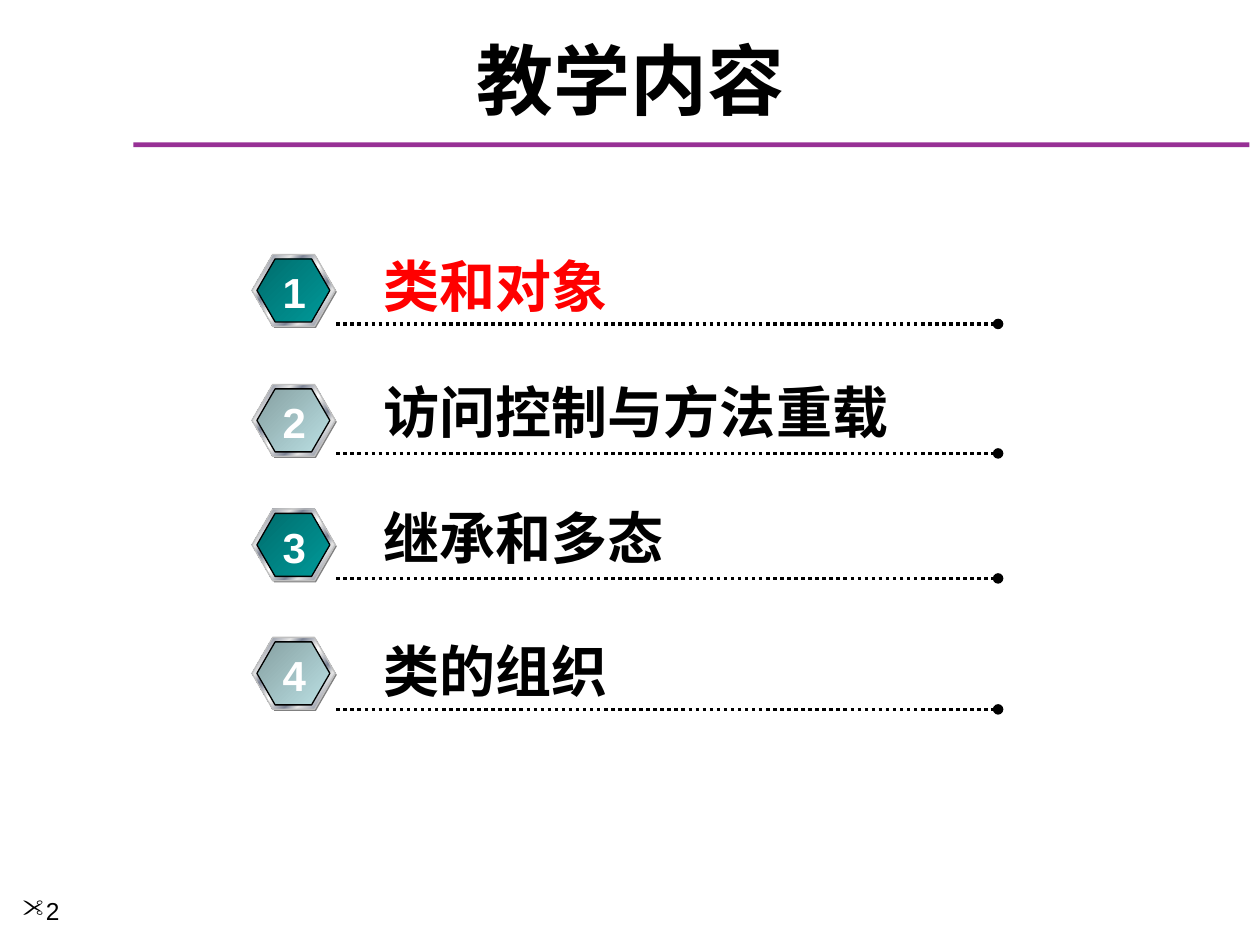
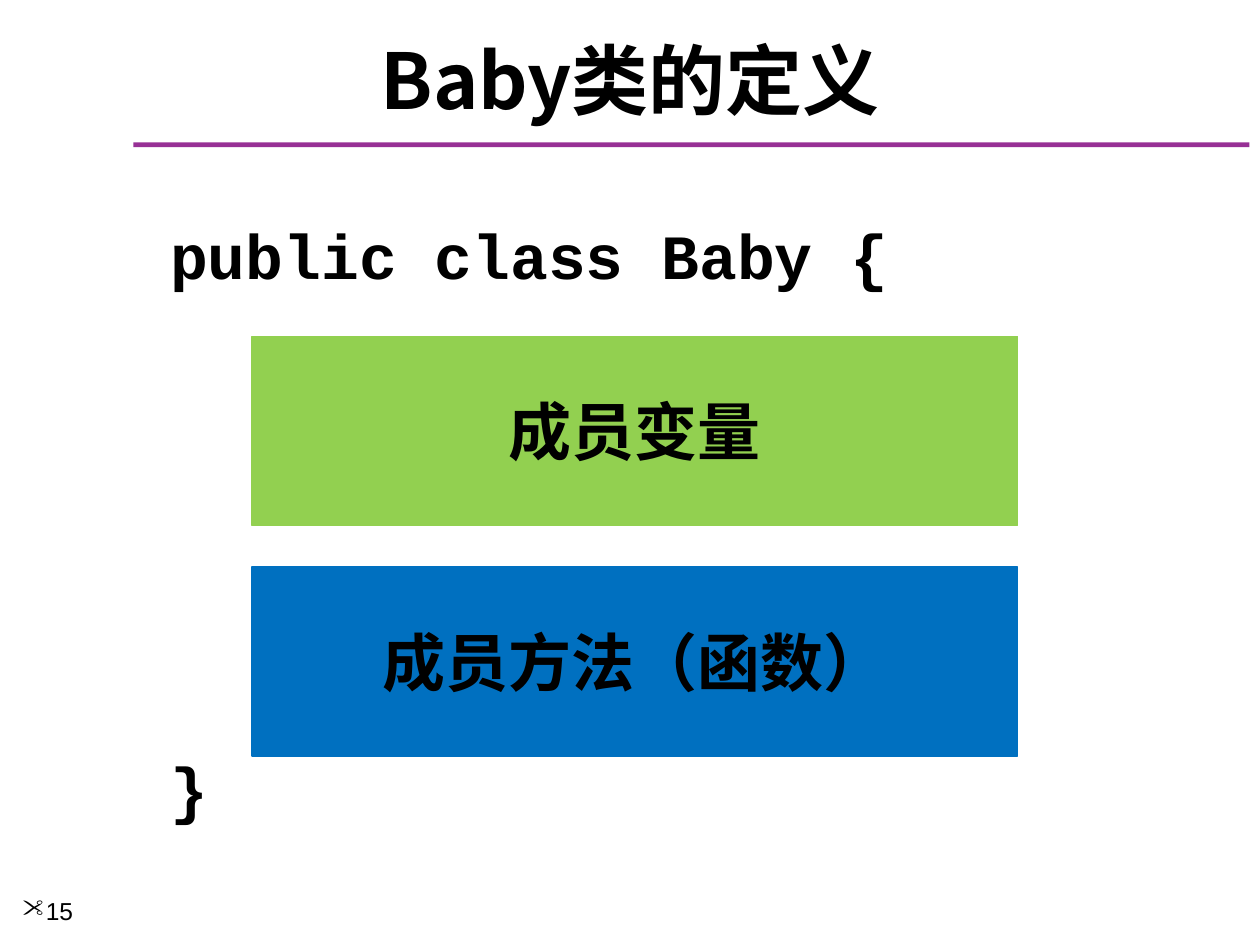
from lxml import etree
from pptx import Presentation
from pptx.dml.color import RGBColor
from pptx.enum.dml import MSO_LINE
from pptx.enum.shapes import MSO_CONNECTOR, MSO_SHAPE
from pptx.enum.text import MSO_ANCHOR, MSO_AUTO_SIZE, PP_ALIGN
from pptx.oxml.ns import qn
from pptx.util import Cm, Pt

RECTANGLE, HEXAGON = MSO_SHAPE.RECTANGLE, MSO_SHAPE.HEXAGON
STRAIGHT, DOTTED = MSO_CONNECTOR.STRAIGHT, MSO_LINE.ROUND_DOT
TOP, MIDDLE = MSO_ANCHOR.TOP, MSO_ANCHOR.MIDDLE
LEFT, CENTER = PP_ALIGN.LEFT, PP_ALIGN.CENTER
GROW = MSO_AUTO_SIZE.SHAPE_TO_FIT_TEXT

BLACK = RGBColor(0x00, 0x00, 0x00)
WHITE = RGBColor(0xFF, 0xFF, 0xFF)
RED = RGBColor(0xFF, 0x00, 0x00)
PURPLE = RGBColor(0x97, 0x30, 0x95)
GRAY = RGBColor(0x80, 0x80, 0x80)
SILVER = RGBColor(0xC0, 0xC0, 0xC0)
GREEN = RGBColor(0x92, 0xD0, 0x50)
BLUE = RGBColor(0x00, 0x70, 0xC0)
METAL_LIGHT = RGBColor(0xE6, 0xE6, 0xE6)
METAL_DARK = RGBColor(0x7D, 0x84, 0x96)

SANS, CHINESE, CODE = "Arial", "Noto Sans CJK SC", "Courier New"

TEAL_STOPS = [(0, RGBColor(0x00, 0x6D, 0x6D)), (100, RGBColor(0x00, 0x99, 0x99))]
PALE_STOPS = [(0, RGBColor(0x86, 0xA0, 0xA2)), (100, RGBColor(0xBB, 0xE0, 0xE3))]
METAL_STOPS = [
    (0, METAL_LIGHT), (8, METAL_DARK), (26, METAL_LIGHT), (34, METAL_DARK),
    (46, METAL_LIGHT), (50, WHITE), (54, METAL_LIGHT), (66, METAL_DARK),
    (74, METAL_LIGHT), (92, METAL_DARK), (100, METAL_LIGHT),
]

TOPICS = [
    {"label": "类和对象", "color": RED, "badge": 5.13, "text": 4.93, "rule": 6.53, "width": 5.08},
    {"label": "访问控制与方法重载", "color": BLACK, "badge": 7.75, "text": 7.47, "rule": 9.14, "width": 10.82},
    {"label": "继承和多态", "color": BLACK, "badge": 10.26, "text": 10.01, "rule": 11.66, "width": 6.22},
    {"label": "类的组织", "color": BLACK, "badge": 12.85, "text": 12.7, "rule": 14.3, "width": 5.08},
]
CLASS_LINES = [("public class Baby {", 7.2), ("}", 261.6)]
CLASS_PARTS = [("成员变量", GREEN), ("成员方法（函数）", BLUE)]


def add_run(paragraph, text, size, color, font=SANS, bold=True):
    run = paragraph.add_run()
    run.text = text
    run.font.name, run.font.size, run.font.bold = font, Pt(size), bold
    run.font.color.rgb = color
    east_asian = etree.SubElement(run.font._element, qn("a:ea"))
    east_asian.set("typeface", CHINESE)


def add_text(shapes, box, text, size, color, font=SANS, bold=True,
             align=LEFT, anchor=TOP, wrap=True, before=0):
    shape = shapes.add_textbox(*map(Cm, box))
    frame = shape.text_frame
    frame.word_wrap, frame.vertical_anchor = wrap, anchor
    if not wrap:
        frame.auto_size = GROW
    paragraph = frame.paragraphs[0]
    paragraph.alignment, paragraph.space_before = align, Pt(before)
    add_run(paragraph, text, size, color, font, bold)
    return shape


def add_block(shapes, kind, box, fill, line=None):
    shape = shapes.add_shape(kind, *map(Cm, box))
    shape.shadow.inherit = False
    if isinstance(fill, list):
        set_gradient(shape, fill)
    else:
        shape.fill.solid()
        shape.fill.fore_color.rgb = fill
    if line is None:
        shape.line.fill.background()
    else:
        shape.line.color.rgb, shape.line.width = line, Pt(0.75)
    if kind == HEXAGON:
        shape.adjustments[0], shape.adjustments[1] = 0.289, 1.155
    return shape


def set_gradient(shape, stops):
    shape.fill.gradient()
    shape.fill.gradient_angle = 315
    stop_list = shape._element.spPr.find(qn("a:gradFill")).find(qn("a:gsLst"))
    for stop in list(stop_list):
        stop_list.remove(stop)
    for position, color in stops:
        stop = etree.SubElement(stop_list, qn("a:gs"), pos=str(position * 1000))
        etree.SubElement(stop, qn("a:srgbClr"), val=str(color))


def add_dotted_rule(shapes, left, right, y):
    rule = shapes.add_connector(STRAIGHT, Cm(left), Cm(y), Cm(right), Cm(y))
    rule.line.color.rgb, rule.line.width = BLACK, Pt(2)
    rule.line.dash_style = DOTTED
    etree.SubElement(rule.line._get_or_add_ln(), qn("a:tailEnd"), type="oval")
    etree.SubElement(rule._element.spPr, qn("a:effectLst"))


def add_badge(shapes, number, top):
    group = shapes.add_group_shape().shapes
    face = TEAL_STOPS if number % 2 else PALE_STOPS
    add_block(group, HEXAGON, (5.11, top + 0.03, 1.68, 1.45), GRAY)
    add_block(group, HEXAGON, (5.08, top, 1.68, 1.45), METAL_STOPS, SILVER)
    add_block(group, HEXAGON, (5.18, top + 0.09, 1.47, 1.27), face, BLACK)
    add_text(group, (5.44, top + 0.12, 0.99, 1.27), str(number), 24, WHITE,
             align=CENTER, anchor=MIDDLE, wrap=False, before=4.8)


def add_base_slide(presentation, title, page):
    slide = presentation.slides.add_slide(presentation.slide_layouts[6])
    add_block(slide.shapes, RECTANGLE, (2.69, 2.87, 22.5, 0.1), PURPLE)
    add_text(slide.shapes, (0.43, 0.64, 24.56, 1.9), title, 44, BLACK,
             font=CHINESE, align=CENTER, anchor=MIDDLE)
    footer = add_text(slide.shapes, (0.2, 17.93, 2.74, 1.12), str(page), 14, BLACK, bold=False)
    properties = footer.text_frame.paragraphs[0]._p.get_or_add_pPr()
    etree.SubElement(properties, qn("a:buFont"), typeface="Wingdings", charset="2")
    etree.SubElement(properties, qn("a:buChar"), char='"')
    return slide


def build_contents(presentation):
    shapes = add_base_slide(presentation, "教学内容", 2).shapes
    for number, topic in enumerate(TOPICS, 1):
        add_dotted_rule(shapes, 6.78, 20.12, topic["rule"])
        add_text(shapes, (7.49, topic["text"], topic["width"], 1.63), topic["label"], 32,
                 topic["color"], anchor=MIDDLE, wrap=False)
        add_badge(shapes, number, topic["badge"])


def build_class_definition(presentation):
    shapes = add_base_slide(presentation, "Baby类的定义", 15).shapes
    (opening, before), (closing, gap) = CLASS_LINES
    code = add_text(shapes, (3.18, 4.24, 15.14, 12.88), opening, 36, BLACK,
                    font=CODE, wrap=False, before=before)
    paragraph = code.text_frame.add_paragraph()
    paragraph.space_before = Pt(gap)
    add_run(paragraph, closing, 36, BLACK, CODE)
    for index, (label, color) in enumerate(CLASS_PARTS):
        block = add_block(shapes, RECTANGLE, (5.08, 6.78 + 4.65 * index, 15.44, 3.81), color, color)
        block.text_frame.vertical_anchor = MIDDLE
        paragraph = block.text_frame.paragraphs[0]
        paragraph.alignment = CENTER
        add_run(paragraph, label, 36, BLACK, CHINESE)


def main():
    presentation = Presentation()
    presentation.slide_width, presentation.slide_height = Cm(25.4), Cm(19.05)
    build_contents(presentation)
    build_class_definition(presentation)
    presentation.save("out.pptx")


if __name__ == "__main__":
    main()
